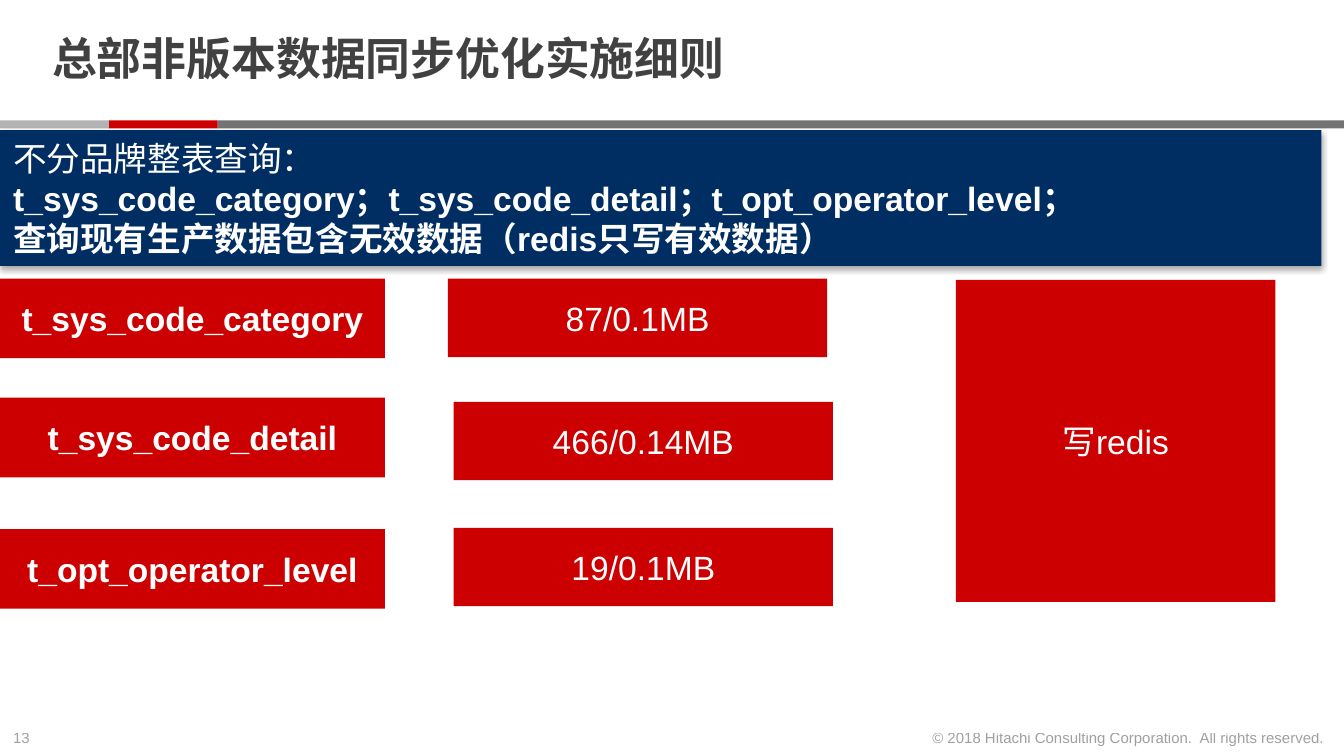
from dataclasses import dataclass

from lxml.etree import SubElement
from pptx import Presentation
from pptx.dml.color import RGBColor
from pptx.enum.shapes import MSO_SHAPE
from pptx.enum.text import MSO_ANCHOR, PP_ALIGN
from pptx.oxml.ns import qn
from pptx.util import Inches, Pt


@dataclass(frozen=True)
class Theme:
    font: str = "Arial"
    red: str = "CC0000"
    navy: str = "002E62"
    dark_gray: str = "737373"
    light_gray: str = "B3B3B3"
    ink: str = "414141"
    white: str = "FFFFFF"
    title_size: int = 24
    body_size: int = 18
    footer_size: int = 8
    footer_opacity: int = 50


THEME = Theme()
COLUMNS = 100
SLIDE_WIDTH = Inches(10)
SLIDE_HEIGHT = SLIDE_WIDTH * 9 // 16
CELL = SLIDE_WIDTH // COLUMNS


def cells(*lengths):
    return [round(length * CELL) for length in lengths]


def add_run(paragraph, text, size, color, bold=False):
    run = paragraph.add_run()
    run.text = text
    run.font.name = THEME.font
    run.font.size = Pt(size)
    run.font.bold = bold
    run.font.color.rgb = RGBColor.from_string(color)
    return run


def add_bar(slide, area, color):
    shape = slide.shapes.add_shape(MSO_SHAPE.RECTANGLE, *cells(*area))
    shape.shadow.inherit = False
    shape.fill.solid()
    shape.fill.fore_color.rgb = RGBColor.from_string(color)
    shape.line.fill.background()
    return shape


def add_block(slide, area, color, lines, align=PP_ALIGN.CENTER):
    shape = add_bar(slide, area, color)
    frame = shape.text_frame
    frame.word_wrap = True
    frame.vertical_anchor = MSO_ANCHOR.MIDDLE
    for index, (text, bold) in enumerate(lines):
        paragraph = frame.add_paragraph() if index else frame.paragraphs[0]
        paragraph.alignment = align
        add_run(paragraph, text, THEME.body_size, THEME.white, bold)
    return shape


def add_drop_shadow(shape):
    effects = shape._element.spPr.find(qn("a:effectLst"))
    shadow = SubElement(effects, qn("a:outerShdw"), blurRad=str(Pt(3.1)),
                        dist=str(Pt(1.8)), dir="5400000", rotWithShape="0")
    color = SubElement(shadow, qn("a:srgbClr"), val="000000")
    SubElement(color, qn("a:alpha"), val="35000")


def add_title(slide, area, text):
    frame = slide.shapes.add_textbox(*cells(*area)).text_frame
    frame.word_wrap = True
    frame.vertical_anchor = MSO_ANCHOR.MIDDLE
    frame.margin_top = frame.margin_bottom = 0
    paragraph = frame.paragraphs[0]
    paragraph.line_spacing = 0.85
    add_run(paragraph, text, THEME.title_size, THEME.ink, True)


def add_footer(slide, area, text, align):
    frame = slide.shapes.add_textbox(*cells(*area)).text_frame
    frame.word_wrap = False
    paragraph = frame.paragraphs[0]
    paragraph.alignment = align
    run = add_run(paragraph, text, THEME.footer_size, THEME.ink)
    color = run._r.rPr.find(qn("a:solidFill"))[0]
    SubElement(color, qn("a:alpha"), val=str(THEME.footer_opacity * 1000))


def add_divider(slide):
    step = 8.1
    for left, width, color in [
        (2 * step, COLUMNS - 2 * step, THEME.dark_gray),
        (step, step, THEME.red),
        (0, step, THEME.light_gray),
    ]:
        add_bar(slide, (left, 8.97, width, 0.6), color)


def add_table_rows(slide):
    for name, name_top, volume, volume_left, volume_top in [
        ("t_sys_code_category", 20.74, "87/0.1MB", 33.33, 20.74),
        ("t_sys_code_detail", 29.6, "466/0.14MB", 33.76, 29.9),
        ("t_opt_operator_level", 39.38, "19/0.1MB", 33.76, 39.27),
    ]:
        add_block(slide, (0, name_top, 28.64, 5.92), THEME.red, [(name, True)])
        add_block(slide, (volume_left, volume_top, 28.22, 5.83), THEME.red, [(volume, False)])


def main():
    presentation = Presentation()
    presentation.slide_width = SLIDE_WIDTH
    presentation.slide_height = SLIDE_HEIGHT
    slide = presentation.slides.add_slide(presentation.slide_layouts[6])

    add_footer(slide, (0, 53.75, 3.4, 2.4), "13", PP_ALIGN.LEFT)
    add_divider(slide)
    add_footer(slide, (67.95, 53.75, 31.6, 2.4),
               "© 2018 Hitachi Consulting Corporation.  All rights reserved.", PP_ALIGN.RIGHT)
    add_title(slide, (2.9, 0.6, 77.1, 8), "总部非版本数据同步优化实施细则")
    summary = add_block(slide, (0, 9.68, 98.33, 10.1), THEME.navy, [
        ("不分品牌整表查询：", False),
        ("t_sys_code_category；t_sys_code_detail；t_opt_operator_level；", True),
        ("查询现有生产数据包含无效数据（redis只写有效数据）", True),
    ], PP_ALIGN.LEFT)
    add_drop_shadow(summary)
    add_table_rows(slide)
    add_block(slide, (71.13, 20.83, 23.76, 23.96), THEME.red, [("写redis", False)])

    presentation.save("out.pptx")


if __name__ == "__main__":
    main()
